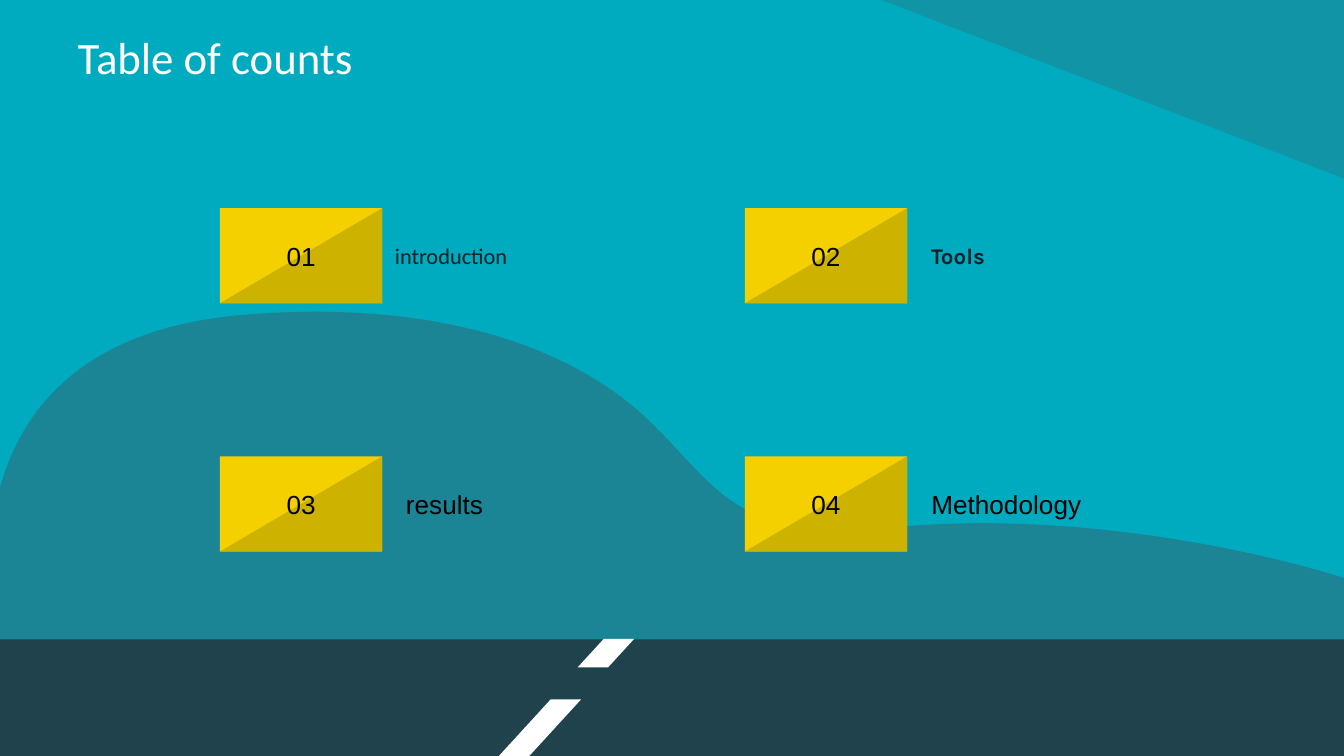
from lxml import etree
from pptx import Presentation
from pptx.dml.color import RGBColor
from pptx.enum.shapes import MSO_SHAPE
from pptx.enum.text import MSO_ANCHOR, MSO_AUTO_SIZE, PP_ALIGN
from pptx.oxml.ns import qn
from pptx.util import Pt

RECTANGLE = MSO_SHAPE.RECTANGLE
TRIANGLE = MSO_SHAPE.RIGHT_TRIANGLE
PARALLELOGRAM = MSO_SHAPE.PARALLELOGRAM
MIDDLE = MSO_ANCHOR.MIDDLE
NO_AUTOFIT = MSO_AUTO_SIZE.NONE
LEFT, CENTER = PP_ALIGN.LEFT, PP_ALIGN.CENTER

SKY = RGBColor(0x00, 0xAB, 0xBF)
HILL = RGBColor(0x33, 0x65, 0x74)
ROAD = RGBColor(0x1F, 0x42, 0x4C)
GOLD = RGBColor(0xF4, 0xD0, 0x00)
DARK_GOLD = RGBColor(0xCE, 0xB2, 0x00)
INK = RGBColor(0x10, 0x21, 0x26)
BLACK = RGBColor(0, 0, 0)
WHITE = RGBColor(0xFF, 0xFF, 0xFF)

WIDTH, HEIGHT = 720, 405
CARD_WIDTH, CARD_HEIGHT = 87, 51
COLUMNS, ROWS = (117.8, 399), (111.5, 244.5)
LABEL_WIDTH = 111.6

HILL_START = (168.5, 167)
HILL_SEGMENTS = [
    [(270, 167), (323.3, 201.6), (348.5, 226.1)],
    [(381.6, 258.5), (391.7, 283.7), (452.2, 283.7)],
    [(462.2, 283.7), (473.8, 283), (487.4, 281.7)],
    [(488.9, 281.6), (490.3, 281.5), (491, 281.5)],
    [(502.6, 280.8), (514.1, 280.3), (524.9, 280.3)],
    [(635, 280.3), (724.3, 311), (724.3, 311)],
    [(723.6, 360.7)],
    [(2.2, 367.2)],
    [(2.2, 367.2), (-54.7, 182.2), (133.2, 168.5)],
    [(145.4, 167.6), (157, 167), HILL_START],
]


class SlideBuilder:
    def __init__(self, slide):
        self.slide = slide
        self.inset = Pt(7.2)

    def paint(self, shape, color, opacity=100):
        shape.shadow.inherit = False
        shape.fill.solid()
        shape.fill.fore_color.rgb = color
        shape.line.fill.background()
        if opacity < 100:
            tint = shape._element.spPr.find(".//" + qn("a:srgbClr"))
            etree.SubElement(tint, qn("a:alpha"), val=str(opacity * 1000))
        return shape

    def shape(self, kind, left, top, width, height, color, opacity=100):
        shape = self.slide.shapes.add_shape(kind, Pt(left), Pt(top), Pt(width), Pt(height))
        return self.paint(shape, color, opacity)

    def outline(self, start, segments, color, opacity):
        builder = self.slide.shapes.build_freeform(Pt(start[0]), Pt(start[1]))
        builder.add_line_segments(
            [(Pt(x), Pt(y)) for segment in segments for x, y in segment], close=True)
        shape = builder.convert_to_shape()
        lines = iter(list(shape._element.spPr.iter(qn("a:lnTo"))))
        for segment in segments:
            parts = [next(lines) for _ in segment]
            if len(parts) == 3:
                curve = etree.Element(qn("a:cubicBezTo"))
                parts[0].addprevious(curve)
                for line in parts:
                    curve.append(line[0])
                    line.getparent().remove(line)
        return self.paint(shape, color, opacity)

    def format_text(self, holder, text, left, top, width, height,
                    size=14, font="Arial", color=BLACK, bold=False, align=LEFT):
        holder.left, holder.top = Pt(left), Pt(top)
        holder.width, holder.height = Pt(width), Pt(height)
        frame = holder.text_frame
        frame.text = text
        frame.word_wrap = True
        frame.auto_size = NO_AUTOFIT
        frame.vertical_anchor = MIDDLE
        frame.margin_left = frame.margin_right = self.inset
        frame.margin_top = frame.margin_bottom = self.inset
        paragraph = frame.paragraphs[0]
        paragraph.alignment = align
        paragraph.line_spacing = 1.0
        paragraph.space_before = Pt(0)
        run_font = paragraph.runs[0].font
        run_font.size, run_font.name, run_font.bold = Pt(size), font, bold
        run_font.color.rgb = color
        return paragraph

    def text(self, text, left, top, width, height, **style):
        box = self.slide.shapes.add_textbox(Pt(left), Pt(top), Pt(width), Pt(height))
        return self.format_text(box, text, left, top, width, height, **style)

    def card(self, number, left, top):
        area = (left, top, CARD_WIDTH, CARD_HEIGHT)
        self.shape(RECTANGLE, *area, GOLD)
        shade = self.shape(TRIANGLE, *area, DARK_GOLD)
        shade._element.spPr.find(qn("a:xfrm")).set("flipH", "1")
        self.text(number, *area, align=CENTER)


def main():
    deck = Presentation()
    deck.slide_width, deck.slide_height = Pt(WIDTH), Pt(HEIGHT)
    slide = deck.slides.add_slide(deck.slide_layouts[0])
    slide.background.fill.solid()
    slide.background.fill.fore_color.rgb = SKY
    builder = SlideBuilder(slide)

    sunbeam = builder.shape(TRIANGLE, 472.3, 0, 247.7, 95.6, HILL, 32)
    sunbeam.rotation = 180
    builder.outline(HILL_START, HILL_SEGMENTS, HILL, 54)
    builder.shape(RECTANGLE, 0, 342.5, WIDTH, 62.5, ROAD)
    for left, top in ((309.4, 342.3), (281, 374.7), (267.2, 389.8)):
        stripe = builder.shape(PARALLELOGRAM, left, top, 30.3, 15.3, WHITE)
        stripe.adjustments[0] = 0.915

    builder.format_text(slide.shapes.title, "Table of counts", 34.4, 7.6, 607.7, 45.4,
                        size=24, font="Calibri", color=WHITE)

    for index in range(4):
        row, column = divmod(index, 2)
        builder.card(f"{index + 1:02d}", COLUMNS[column], ROWS[row])

    upper, lower = ROWS
    introduction = builder.text("introduction", 193.7, upper, 136.8, CARD_HEIGHT,
                                size=12, font="Calibri", color=INK)
    properties = introduction._p.get_or_add_pPr()
    properties.set("marL", str(Pt(36)))
    properties.set("indent", str(Pt(-25.2)))
    builder.format_text(slide.placeholders[1], "Tools", 491.6, upper, LABEL_WIDTH,
                        CARD_HEIGHT, size=12, font="Karla", color=INK, bold=True)
    for label, left in (("results", 210.4), ("Methodology", 491.8)):
        builder.text(label, left, lower, LABEL_WIDTH, CARD_HEIGHT)

    deck.save("out.pptx")


if __name__ == "__main__":
    main()
